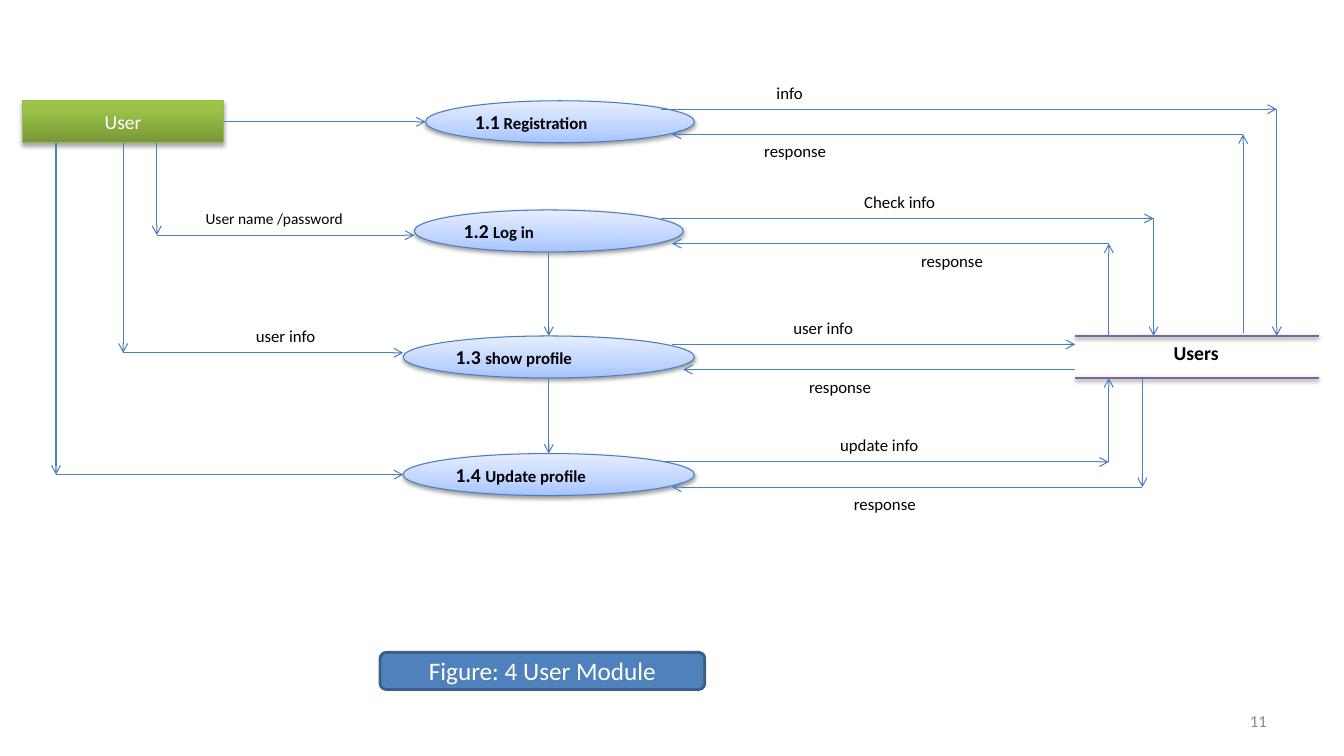
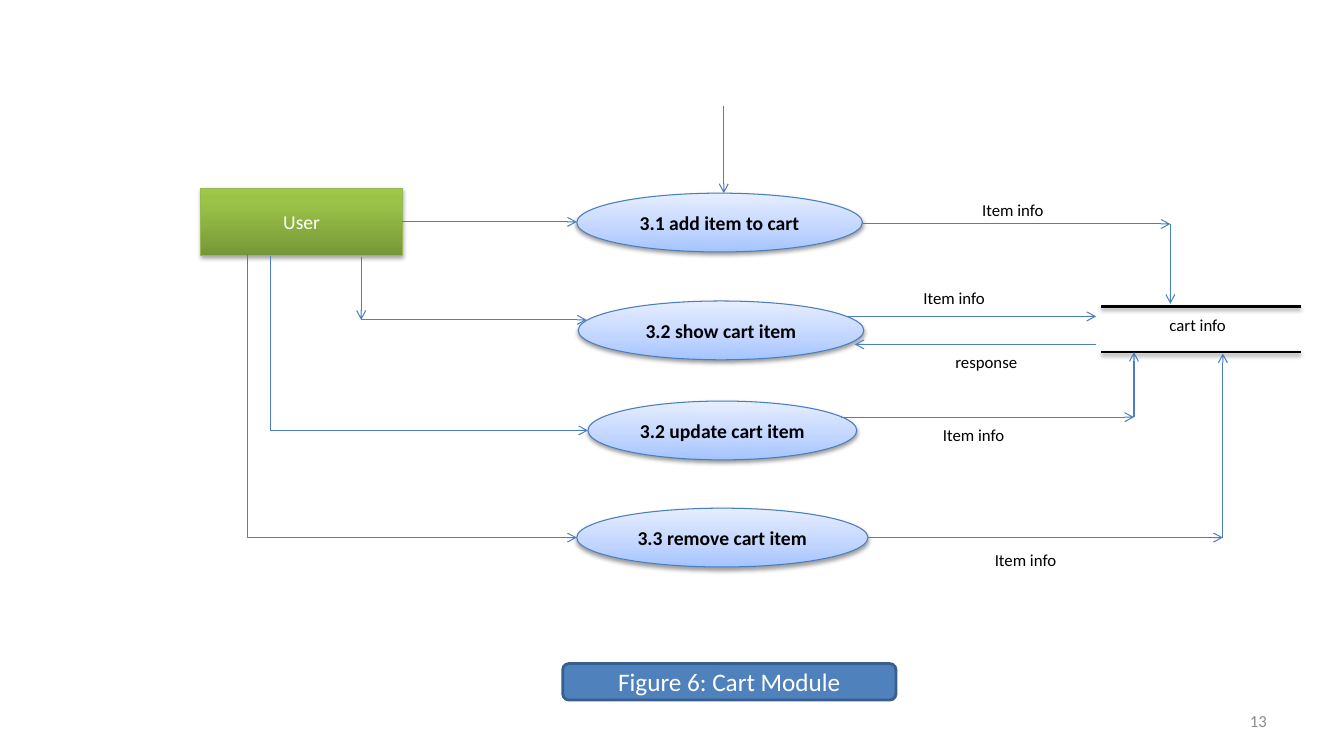
from lxml.etree import SubElement
from pptx import Presentation
from pptx.dml.color import RGBColor
from pptx.enum.shapes import MSO_CONNECTOR, MSO_SHAPE
from pptx.enum.text import MSO_ANCHOR, PP_ALIGN
from pptx.oxml.ns import qn
from pptx.util import Pt

FONT = "Calibri"
HEX = {
    "white": "FFFFFF", "black": "000000", "grey": "8C8C8C",
    "blue": "4F81BD", "navy": "3A5F8C", "flow": "4B7EBC",
    "leaf": "98B955", "plum": "8064A2",
}
FADE = {
    "leaf": [(0, "779737"), (80, "9BC348"), (100, "9DC746")],
    "sky": [(0, "A4C4FF"), (35, "BFD4FF"), (100, "E6EEFF")],
}


def tint(name):
    """Return the named colour."""
    return RGBColor.from_string(HEX[name])


def add(node, tag, **attrs):
    """Append a drawing element to a node."""
    return SubElement(node, qn("a:" + tag), {k: str(v) for k, v in attrs.items()})


def shade(shape, alpha=None, dist=1.6):
    """Set a soft shadow below a shape, or none at all."""
    group = add(shape._element.spPr, "effectLst")
    if alpha:
        drop = add(group, "outerShdw", blurRad=Pt(3.1), dist=Pt(dist),
                   dir=90 * 60000, rotWithShape=0)
        add(add(drop, "srgbClr", val=HEX["black"]), "alpha", val=alpha * 1000)


def fade(shape, name):
    """Fill a shape with a gradient that rises from the bottom."""
    shape.fill.gradient()
    shape.fill.gradient_angle = 90
    stops = shape._element.spPr.find(".//" + qn("a:gsLst"))
    stops.clear()
    for pos, code in FADE[name]:
        add(add(stops, "gs", pos=pos * 1000), "srgbClr", val=code)


def write(shape, parts, color, align=PP_ALIGN.CENTER):
    """Write runs of (text, size, bold) in the middle of a shape."""
    frame = shape.text_frame
    frame.word_wrap = True
    frame.vertical_anchor = MSO_ANCHOR.MIDDLE
    para = frame.paragraphs[0]
    para.alignment = align
    para.text = parts[0][0]
    for text, *_ in parts[1:]:
        para.add_run().text = text
    for run, (_, size, bold) in zip(para.runs, parts):
        font = run.font
        font.name, font.size, font.bold = FONT, Pt(size), bold
        font.color.rgb = tint(color)


def block(slide, kind, box, line, width, fill=None):
    """Place a preset shape with its outline and plain fill."""
    shape = slide.shapes.add_shape(kind, *map(Pt, box))
    shape.line.color.rgb = tint(line)
    shape.line.width = Pt(width)
    if fill:
        shape.fill.solid()
        shape.fill.fore_color.rgb = tint(fill)
        shade(shape)
    return shape


def actor(slide, box):
    """Place the green user box."""
    shape = block(slide, MSO_SHAPE.RECTANGLE, box, "leaf", 0.75)
    fade(shape, "leaf")
    shade(shape, 35, 1.8)
    write(shape, [("User", 14, False)], "white")


def process(slide, box, parts, align):
    """Place one process ellipse."""
    shape = block(slide, MSO_SHAPE.OVAL, box, "flow", 0.75)
    fade(shape, "sky")
    shade(shape, 38)
    write(shape, parts, "black", align)


def label(slide, box, text, size=12, bold=False):
    """Place a white label with black text."""
    shape = block(slide, MSO_SHAPE.RECTANGLE, box, "white", 2, "white")
    write(shape, [(text, size, bold)], "black")


def link(slide, start, end, color="flow", width=0.75, kind=MSO_CONNECTOR.STRAIGHT):
    """Draw one connector between two points."""
    line = slide.shapes.add_connector(kind, *map(Pt, (*start, *end)))
    line.line.color.rgb = tint(color)
    line.line.width = Pt(width)
    return line


def arrow(slide, start, end, bent=False):
    """Draw a flow arrow, straight or bent at its start."""
    kind = MSO_CONNECTOR.ELBOW if bent else MSO_CONNECTOR.STRAIGHT
    line = link(slide, start, end, kind=kind)
    props = line._element.spPr
    add(props.find(qn("a:ln")), "tailEnd", type="arrow")
    if bent:
        add(props.find(".//" + qn("a:avLst")), "gd", name="adj1", fmla="val 200")
    shade(line)


def store(slide, box, color):
    """Draw the two rules of a data store."""
    x, y, w, h = box
    for level in (y, y + h):
        shade(link(slide, (x, level), (x + w, level), color, 2), 38)


def footer(slide, box, caption, page):
    """Place the caption in its box and the page number."""
    shape = block(slide, MSO_SHAPE.ROUNDED_RECTANGLE, box, "navy", 2, "blue")
    write(shape, [(caption, 18, False)], "white")
    note = slide.shapes.add_textbox(*map(Pt, (688, 500.5, 224, 28.5)))
    write(note, [(page, 12, False)], "grey", PP_ALIGN.RIGHT)


def diagram(slide, origin, data):
    """Draw a data flow diagram from its top left corner."""
    left, top = origin

    def move(box):
        """Shift a point or box to the corner."""
        x, y, *size = box
        return (left + x, top + y, *size)

    actor(slide, move(data["actor"]))
    for x, y, w, parts in data["steps"]:
        process(slide, move((x, y, w, data["tall"])), parts, data["align"])
    store(slide, move(data["store"]), data["rule"])
    for x, y, w, *text in data["labels"]:
        label(slide, move((x, y, w, 12)), *text)
    for route in data["flows"]:
        for start, end in zip(route, route[1:]):
            arrow(slide, move(start), move(end))
    for start, end in data["bends"]:
        arrow(slide, move(start), move(end), True)


USER = {
    "actor": (0, 12, 144, 30),
    "tall": 30,
    "align": PP_ALIGN.LEFT,
    "steps": [
        (288, 12, 192, [("1.1", 14, True), (" Registration", 12, True)]),
        (280, 90, 192, [("1.2 ", 14, True), ("Log in", 12, True)]),
        (272, 180, 208, [("1.3 ", 14, True), ("show profile", 12, True)]),
        (272, 264, 208, [("1.4 ", 14, True), ("Update profile", 12, True)]),
    ],
    "store": (752, 180, 174, 30),
    "rule": "plum",
    "labels": [
        (504, 0, 88, "info"),
        (496, 42, 112, "response"),
        (584, 78, 88, "Check info "),
        (608, 120, 112, "response"),
        (104, 90, 152, "User name /password", 11),
        (136, 174, 104, "user info"),
        (520, 168, 104, "user info"),
        (528, 210, 112, "response"),
        (560, 252, 104, "update info"),
        (560, 294, 112, "response"),
        (776, 186, 128, "Users ", 14, True),
    ],
    "flows": [
        [(144, 27), (288, 27)],
        [(96, 42), (96, 108), (280, 108)],
        [(72, 42), (72, 192), (272, 192)],
        [(24, 42), (24, 279), (272, 279)],
        [(456, 18), (896, 18), (896, 180)],
        [(872, 178), (872, 36), (464, 36)],
        [(456, 96), (808, 96), (808, 180)],
        [(776, 180), (776, 114), (464, 114)],
        [(464, 186), (752, 186)],
        [(752, 204), (472, 204)],
        [(456, 270), (776, 270), (776, 210)],
        [(800, 210), (800, 288), (464, 288)],
        [(376, 120), (376, 180)],
        [(376, 210), (376, 264)],
    ],
    "bends": [],
}

CART = {
    "actor": (0, 59, 144, 48),
    "tall": 42,
    "align": PP_ALIGN.CENTER,
    "steps": [
        (268.5, 62.5, 204, [("3.1 add item to cart", 14, True)]),
        (269.5, 139.5, 204, [("3.2 show cart item", 14, True)]),
        (276.5, 211, 192, [("3.2 update cart item", 14, True)]),
        (268.5, 287.5, 208, [("3.3 remove cart item", 14, True)]),
    ],
    "store": (643, 143.5, 142.5, 32.5),
    "rule": "black",
    "labels": [
        (530.5, 68.5, 99, "Item info"),
        (488.5, 131, 99, "Item info"),
        (511.5, 177, 99, "response"),
        (502.5, 229, 99, "Item info"),
        (539.5, 318.5, 99, "Item info"),
        (660, 150.5, 104, "cart info"),
    ],
    "flows": [
        [(144, 83), (268.5, 83)],
        [(114.5, 108), (114.5, 153), (275.5, 153)],
        [(373.5, 0), (373.5, 62.5)],
        [(472.5, 84.5), (692.5, 84.5), (692.5, 141.5)],
        [(461.5, 150.5), (639.5, 150.5)],
        [(639.5, 170.5), (467, 170.5)],
        [(457, 222.5), (666.5, 222.5), (666.5, 176)],
        [(476.5, 308.5), (730, 308.5), (730, 177)],
    ],
    "bends": [
        [(33, 106), (268.5, 308.5)],
        [(49.5, 108), (276.5, 232)],
    ],
}

PAGES = [
    ((16, 60), USER, (271.5, 466, 232, 26.5), "Figure: 4 User Module", "11"),
    ((143.5, 75.5), CART, (402, 474, 238, 26), "Figure 6: Cart Module", "13"),
]


def main():
    """Build and save the deck."""
    deck = Presentation()
    deck.slide_width, deck.slide_height = Pt(960), Pt(540)
    for origin, data, box, caption, page in PAGES:
        slide = deck.slides.add_slide(deck.slide_layouts[6])
        diagram(slide, origin, data)
        footer(slide, box, caption, page)
    deck.save("out.pptx")


if __name__ == "__main__":
    main()
